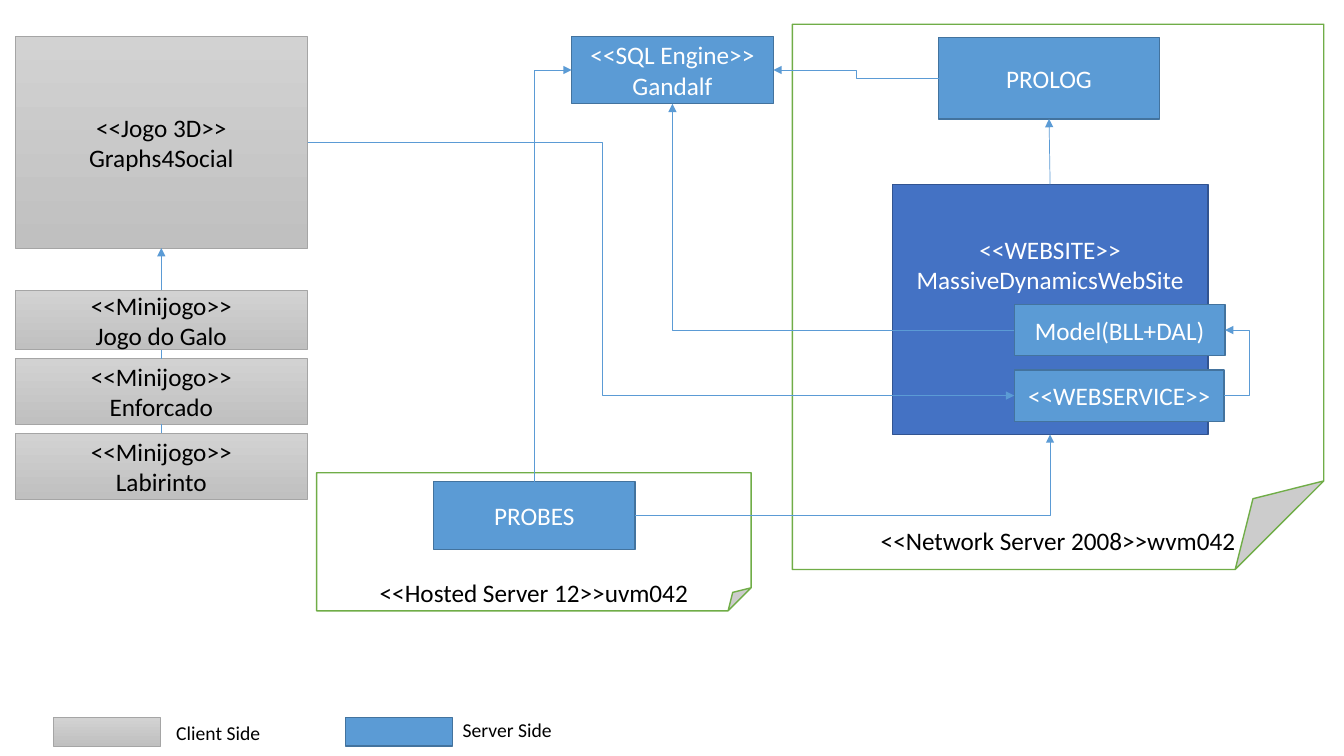
"""Build a deployment diagram of client games and the servers behind them."""
from dataclasses import dataclass

from lxml.etree import SubElement
from pptx import Presentation
from pptx.dml.color import RGBColor
from pptx.enum.shapes import MSO_CONNECTOR as Connector, MSO_SHAPE as Shape
from pptx.enum.text import MSO_ANCHOR as Anchor, PP_ALIGN as Align
from pptx.oxml.ns import qn
from pptx.util import Inches, Pt


@dataclass(frozen=True)
class Theme:
    font: str = "Calibri"
    body_size: float = 18
    legend_size: float = 14
    dark_text: str = "000000"
    connector: str = "5B9BD5"
    connector_width: float = 0.5


THEME = Theme()

STYLES = {
    "host": dict(fill=("FFFFFF",), line="70AD47", width=1, text="000000", shape=Shape.FOLDED_CORNER),
    "site": dict(fill=("4472C4",), line="325491", width=1, text="FFFFFF", shape=Shape.RECTANGLE),
    "server": dict(fill=("5B9BD5",), line="43739E", width=1, text="FFFFFF", shape=Shape.RECTANGLE),
    "client": dict(fill=("D2D2D2", "C0C0C0"), line="A5A5A5", width=0.5, text="000000",
                   shape=Shape.RECTANGLE),
}

BOXES = {
    "monitor host": ("host", (3.14, 4.69, 4.31, 1.37), []),
    "web host": ("host", (7.86, 0.24, 5.27, 5.41), []),
    "website": ("site", (8.85, 1.83, 3.13, 2.48), ["<<WEBSITE>>", "MassiveDynamicsWebSite"]),
    "model": ("server", (10.06, 3.02, 2.09, 0.51), ["Model(BLL+DAL)"]),
    "webservice": ("server", (10.06, 3.67, 2.08, 0.51), ["<<WEBSERVICE>>"]),
    "game": ("client", (0.15, 0.36, 2.9, 2.1), ["<<Jogo 3D>>", "Graphs4Social"]),
    "tic tac toe": ("client", (0.15, 2.88, 2.9, 0.59), ["<<Minijogo>>", "Jogo do Galo"]),
    "hangman": ("client", (0.15, 3.56, 2.9, 0.65), ["<<Minijogo>>", "Enforcado"]),
    "maze": ("client", (0.15, 4.3, 2.9, 0.65), ["<<Minijogo>>", "Labirinto"]),
    "database": ("server", (5.67, 0.36, 2, 0.67), ["<<SQL Engine>>", "Gandalf"]),
    "monitor": ("server", (4.3, 4.78, 2, 0.67), ["PROBES"]),
    "prolog": ("server", (9.31, 0.37, 2.19, 0.81), ["PROLOG"]),
    "client key": ("client", (0.53, 7.12, 1.06, 0.28), []),
    "server key": ("server", (3.43, 7.12, 1.06, 0.28), []),
}
WEBSITE_BOTTOM_INSET = 0.95

CAPTIONS = [
    ("<<Hosted Server 12>>uvm042", (3.14, 5.68, 4.31, 0.4), THEME.body_size, Align.CENTER),
    ("<<Network Server 2008>>wvm042", (7.86, 5.16, 5.27, 0.4), THEME.body_size, Align.CENTER),
    ("Client Side", (1.65, 7.1, 1.47, 0.34), THEME.legend_size, Align.LEFT),
    ("Server Side", (4.49, 7.07, 1.47, 0.34), THEME.legend_size, Align.LEFT),
]

TOP, LEFT, BOTTOM, RIGHT = range(4)
STRAIGHT, CORNER, STEP = "line", "bentConnector2", "bentConnector3"
LINKS = [
    ("maze", TOP, "hangman", BOTTOM, STRAIGHT, None, None),
    ("hangman", TOP, "tic tac toe", BOTTOM, STRAIGHT, None, None),
    ("tic tac toe", TOP, "game", BOTTOM, STRAIGHT, None, "tailEnd"),
    ("game", RIGHT, "webservice", LEFT, STEP, 5.97, "tailEnd"),
    ("webservice", RIGHT, "model", RIGHT, STEP, 12.4, "tailEnd"),
    ("model", LEFT, "database", BOTTOM, CORNER, None, "tailEnd"),
    ("monitor", RIGHT, "website", BOTTOM, CORNER, None, "tailEnd"),
    ("database", LEFT, "monitor", TOP, CORNER, None, "headEnd"),
    ("website", TOP, "prolog", BOTTOM, STRAIGHT, None, "tailEnd"),
    ("prolog", LEFT, "database", RIGHT, STEP, 8.49, "tailEnd"),
]


def write_lines(frame, lines, size, color, align):
    frame.word_wrap = True
    for index, line in enumerate(lines):
        paragraph = frame.paragraphs[0] if index == 0 else frame.add_paragraph()
        paragraph.alignment = align
        run = paragraph.add_run()
        run.text = line
        run.font.name = THEME.font
        run.font.size = Pt(size)
        run.font.color.rgb = RGBColor.from_string(color)


def add_box(slide, style, bounds, lines):
    shape = slide.shapes.add_shape(style["shape"], *map(Inches, bounds))
    shape.shadow.inherit = False
    colors = [RGBColor.from_string(color) for color in style["fill"]]
    if len(colors) == 1:
        shape.fill.solid()
        shape.fill.fore_color.rgb = colors[0]
    else:
        shape.fill.gradient()
        shape.fill.gradient_angle = 270
        for stop, color in zip(shape.fill.gradient_stops, colors):
            stop.color.rgb = color
    shape.line.color.rgb = RGBColor.from_string(style["line"])
    shape.line.width = Pt(style["width"])
    shape.text_frame.vertical_anchor = Anchor.MIDDLE
    write_lines(shape.text_frame, lines, THEME.body_size, style["text"], Align.CENTER)
    return shape


def add_link(slide, start, start_site, end, end_site, preset, bend_x, arrow):
    kind = Connector.STRAIGHT if preset == STRAIGHT else Connector.ELBOW
    link = slide.shapes.add_connector(kind, 0, 0, 0, 0)
    link.begin_connect(start, start_site)
    link.end_connect(end, end_site)
    link.line.color.rgb = RGBColor.from_string(THEME.connector)
    link.line.width = Pt(THEME.connector_width)
    properties = link.element.spPr
    geometry = properties.find(qn("a:prstGeom"))
    geometry.set("prst", preset)
    if bend_x is not None:
        ratio = (Inches(bend_x) - link.begin_x) / (link.end_x - link.begin_x)
        guide = SubElement(geometry.find(qn("a:avLst")), qn("a:gd"))
        guide.set("name", "adj1")
        guide.set("fmla", f"val {round(ratio * 100000)}")
    if arrow:
        SubElement(properties.find(qn("a:ln")), qn(f"a:{arrow}")).set("type", "triangle")
    SubElement(properties, qn("a:effectLst"))


def main():
    presentation = Presentation()
    presentation.slide_width, presentation.slide_height = Inches(13.33), Inches(7.5)
    slide = presentation.slides.add_slide(presentation.slide_layouts[6])

    boxes = {name: add_box(slide, STYLES[style], bounds, lines)
             for name, (style, bounds, lines) in BOXES.items()}
    boxes["website"].text_frame.margin_bottom = Inches(WEBSITE_BOTTOM_INSET)

    for text, bounds, size, align in CAPTIONS:
        caption = slide.shapes.add_textbox(*map(Inches, bounds))
        write_lines(caption.text_frame, [text], size, THEME.dark_text, align)

    for start, start_site, end, end_site, preset, bend_x, arrow in LINKS:
        add_link(slide, boxes[start], start_site, boxes[end], end_site, preset, bend_x, arrow)

    presentation.save("out.pptx")


if __name__ == "__main__":
    main()
